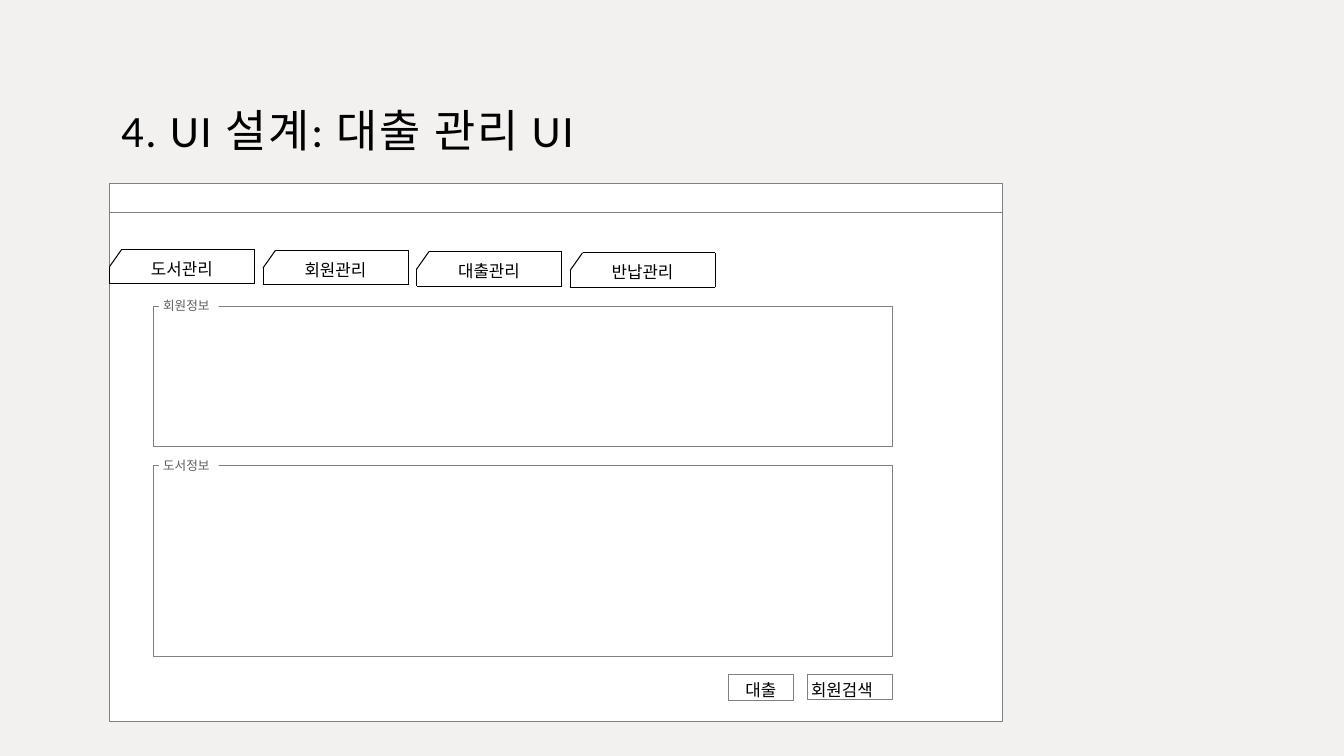
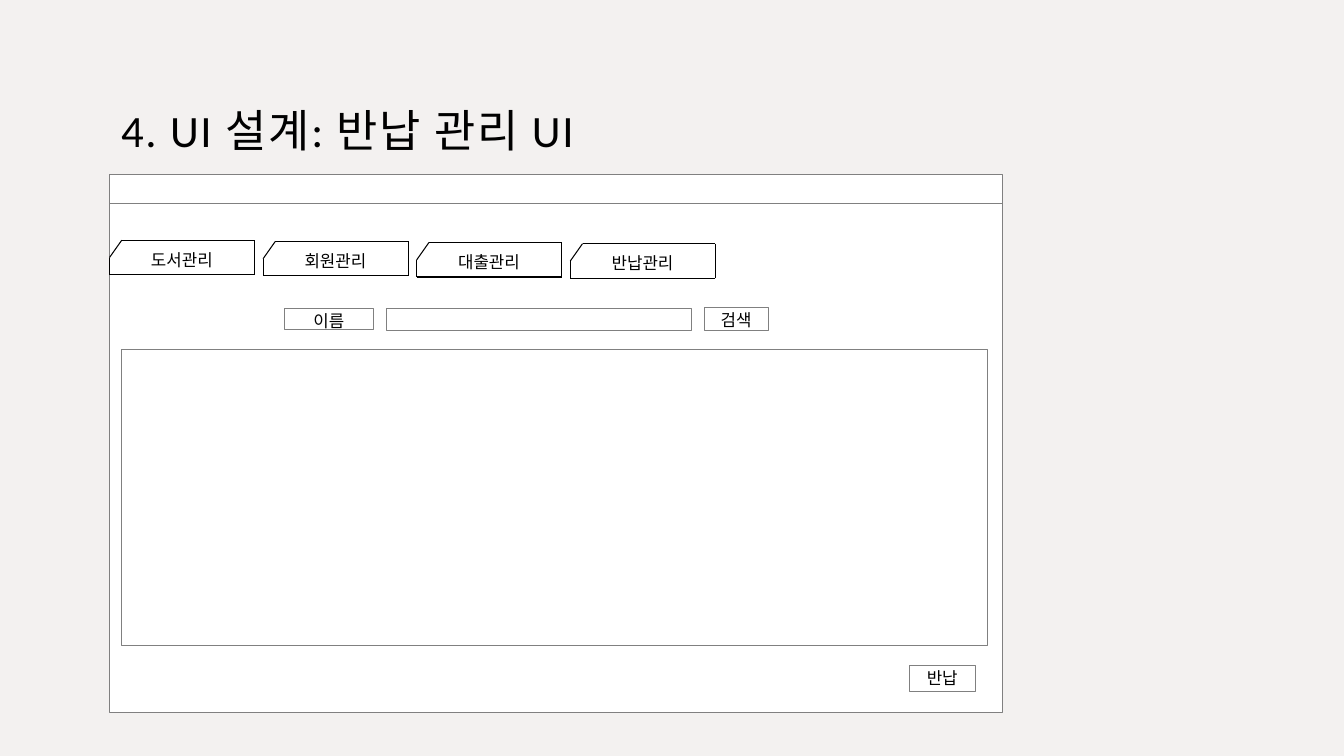
import pptx
import pptx.dml.color
import pptx.enum.shapes
import pptx.enum.text
import pptx.util
from dataclasses import dataclass
from pptx.util import Cm


@dataclass(frozen=True)
class Theme:
    """Colours, fonts and sizes shared by the slides."""
    background: str = "F3F1F0"
    paper: str = "FFFFFF"
    ink: str = "000000"
    frame: str = "808080"
    caption: str = "5F5F5F"
    font: str = "Calibri"
    caption_font: str = "Cabin"
    title_size: float = 32
    label_size: float = 12
    caption_size: float = 9
    frame_width: float = 0.5
    tab_width: float = 0.75


THEME = Theme()
ALIGN = pptx.enum.text.PP_ALIGN
ANCHOR = pptx.enum.text.MSO_ANCHOR
RECTANGLE = pptx.enum.shapes.MSO_SHAPE.RECTANGLE
STRAIGHT = pptx.enum.shapes.MSO_CONNECTOR.STRAIGHT

TITLE_BOX = (2.75, 1.09, 28.37, 3.1)
WINDOW_LEFT, WINDOW_WIDTH, WINDOW_HEIGHT = 2.75, 22.5, 13.56
HEADER_HEIGHT = 0.74
TABS = ["도서관리", "회원관리", "대출관리", "반납관리"]
TAB_LEFT, TAB_OFFSET, TAB_STEP, TAB_DROP = 2.76, 1.66, 3.87, 0.03
TAB_WIDTH, TAB_HEIGHT, CUT_WIDTH, CUT_HEIGHT = 3.66, 0.87, 0.31, 0.44
TAB_LABEL = (0.54, 0.11, 2.57, 0.76)
CAPTION_INDENT, CAPTION_RISE, CAPTION_SIZE = 0.15, 0.22, (1.5, 0.43)

SCREENS = [
    {
        "title": "4. UI 설계: 대출 관리 UI",
        "window_top": 4.62,
        "panels": [
            ("회원정보", (3.86, 7.71, 18.62, 3.53)),
            ("도서정보", (3.86, 11.73, 18.62, 4.8)),
        ],
        "controls": [
            ("대출", (18.35, 16.99, 1.65, 0.67), ALIGN.CENTER, 0.12),
            ("회원검색", (20.34, 16.99, 2.16, 0.64), ALIGN.LEFT, 0.16),
        ],
    },
    {
        "title": "4. UI 설계: 반납 관리 UI",
        "window_top": 4.39,
        "panels": [("", (3.07, 8.8, 21.82, 7.46))],
        "controls": [
            ("이름", (7.16, 7.77, 2.26, 0.52), ALIGN.CENTER, 0.1),
            ("", (9.73, 7.77, 7.7, 0.56), ALIGN.LEFT, 0),
            ("검색", (17.74, 7.75, 1.62, 0.58), ALIGN.CENTER, 0.04),
            ("반납", (22.92, 16.76, 1.65, 0.66), ALIGN.CENTER, 0),
        ],
    },
]


def rgb(value):
    """Return a colour from its hex form."""
    return pptx.dml.color.RGBColor.from_string(value)


def style_outline(line, color, width):
    """Give a line its colour and width."""
    line.color.rgb = rgb(color)
    line.width = pptx.util.Pt(width)


def style_runs(frame, font, size, color):
    """Format every run of a text frame."""
    for paragraph in frame.paragraphs:
        for run in paragraph.runs:
            run.font.name = font
            run.font.size = pptx.util.Pt(size)
            run.font.color.rgb = rgb(color)


def set_margins(frame, left=0, top=0, right=0, bottom=0):
    """Set the insets of a text frame."""
    frame.margin_left, frame.margin_top = Cm(left), Cm(top)
    frame.margin_right, frame.margin_bottom = Cm(right), Cm(bottom)


def write_label(shape, text, align=ALIGN.CENTER, left=0, top=0,
                font=THEME.font, size=THEME.label_size, color=THEME.ink):
    """Write one line of text inside a shape."""
    frame = shape.text_frame
    frame.text = text
    frame.word_wrap = True
    frame.vertical_anchor = ANCHOR.MIDDLE
    set_margins(frame, left=left, top=top)
    frame.paragraphs[0].alignment = align
    style_runs(frame, font, size, color)


def add_box(slide, box, outlined=True):
    """Add a white rectangle, framed in grey if outlined."""
    rectangle = slide.shapes.add_shape(RECTANGLE, *map(Cm, box))
    rectangle.shadow.inherit = False
    rectangle.fill.solid()
    rectangle.fill.fore_color.rgb = rgb(THEME.paper)
    if outlined:
        style_outline(rectangle.line, THEME.frame, THEME.frame_width)
    else:
        rectangle.line.fill.background()
    return rectangle


def add_rule(slide, start, end, color, width):
    """Draw a straight line without a shadow."""
    rule = slide.shapes.add_connector(STRAIGHT, *map(Cm, (*start, *end)))
    style_outline(rule.line, color, width)
    properties = rule._element.spPr
    properties.append(properties.makeelement(pptx.oxml.ns.qn("a:effectLst"), {}))


def add_title(slide, text):
    """Place and format the slide title."""
    title = slide.shapes.title
    title.left, title.top, title.width, title.height = map(Cm, TITLE_BOX)
    frame = title.text_frame
    frame.text = text
    frame.auto_size = pptx.enum.text.MSO_AUTO_SIZE.NONE
    frame.vertical_anchor = ANCHOR.BOTTOM
    set_margins(frame, 0.3, 0.3, 0.3, 0.25)
    frame.paragraphs[0].alignment = ALIGN.LEFT
    style_runs(frame, THEME.font, THEME.title_size, THEME.ink)
    for run in frame.paragraphs[0].runs:
        run.font._element.set("spc", "120")


def add_window(slide, top):
    """Draw the application window with its header rule."""
    add_box(slide, (WINDOW_LEFT, top, WINDOW_WIDTH, WINDOW_HEIGHT))
    rule_y = top + HEADER_HEIGHT
    add_rule(slide, (WINDOW_LEFT, rule_y), (WINDOW_LEFT + WINDOW_WIDTH, rule_y),
             THEME.frame, THEME.frame_width)


def add_tab(slide, text, left, top):
    """Draw a tab with its upper left corner cut off."""
    right, bottom = left + TAB_WIDTH, top + TAB_HEIGHT
    corners = [(left + CUT_WIDTH, top), (right, top), (right, bottom),
               (left, bottom), (left, top + CUT_HEIGHT)]
    for start, end in zip(corners, corners[1:] + corners[:1]):
        add_rule(slide, start, end, THEME.ink, THEME.tab_width)
    shift_x, shift_y, width, height = TAB_LABEL
    label = slide.shapes.add_textbox(
        *map(Cm, (left + shift_x, top + shift_y, width, height)))
    write_label(label, text)


def add_panel(slide, caption, box):
    """Draw a panel and the caption that breaks its upper edge."""
    add_box(slide, box)
    if caption:
        left, top = box[0] + CAPTION_INDENT, box[1] - CAPTION_RISE
        plate = add_box(slide, (left, top, *CAPTION_SIZE), outlined=False)
        write_label(plate, caption, ALIGN.LEFT, 0.1, 0, THEME.caption_font,
                    THEME.caption_size, THEME.caption)


def add_control(slide, text, box, align, drop):
    """Draw a button or an input field."""
    control = add_box(slide, box)
    if text:
        indent = 0.1 if align == ALIGN.LEFT else 0
        write_label(control, text, align, indent, drop)


def build_screen(deck, screen):
    """Build one slide from its content."""
    slide = deck.slides.add_slide(deck.slide_layouts.get_by_name("Title Only"))
    add_title(slide, screen["title"])
    top = screen["window_top"]
    add_window(slide, top)
    for index, text in enumerate(TABS):
        add_tab(slide, text, TAB_LEFT + index * TAB_STEP,
                top + TAB_OFFSET + index * TAB_DROP)
    for panel in screen["panels"]:
        add_panel(slide, *panel)
    for control in screen["controls"]:
        add_control(slide, *control)


def main():
    """Build and save the presentation."""
    deck = pptx.Presentation()
    deck.slide_width, deck.slide_height = Cm(33.87), Cm(19.05)
    backdrop = deck.slide_master.background.fill
    backdrop.solid()
    backdrop.fore_color.rgb = rgb(THEME.background)
    for screen in SCREENS:
        build_screen(deck, screen)
    deck.save("out.pptx")


if __name__ == "__main__":
    main()
